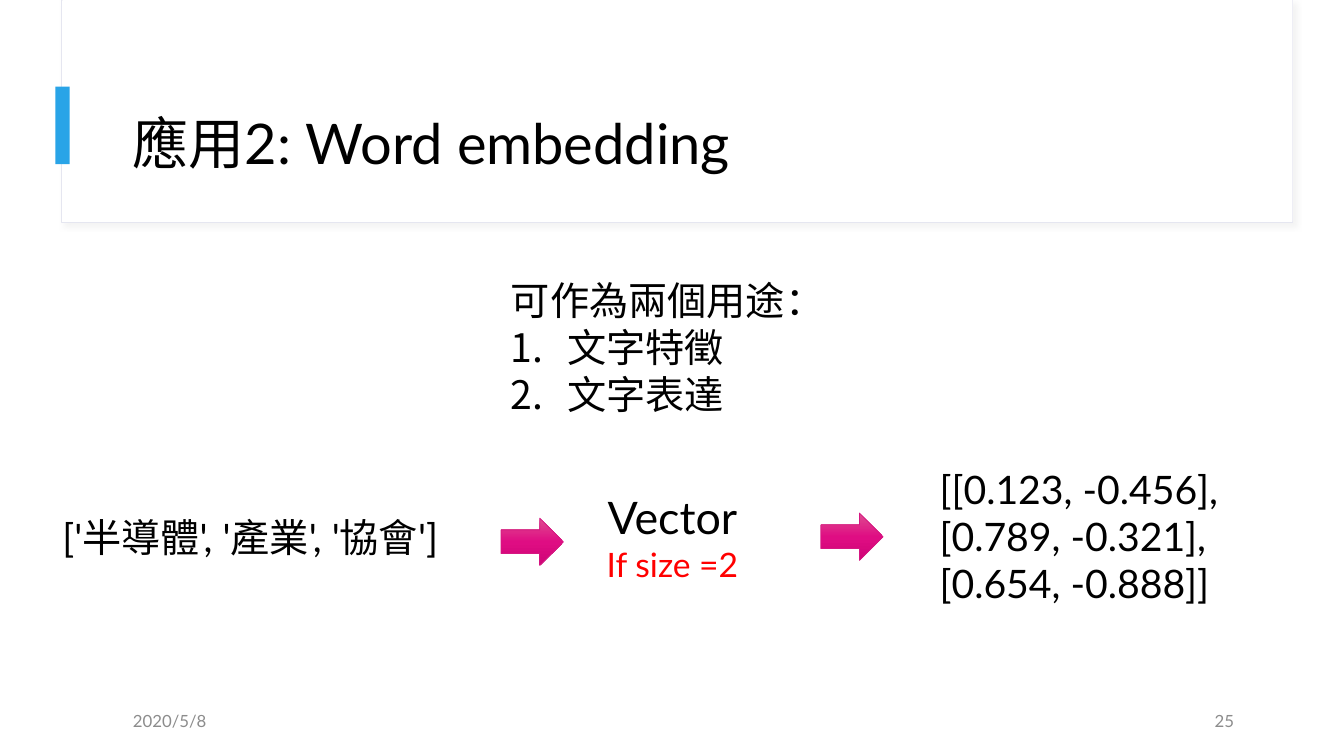
from lxml.etree import SubElement as Sub
from pptx import Presentation
from pptx.dml.color import RGBColor
from pptx.enum.shapes import MSO_SHAPE as Kind
from pptx.enum.text import MSO_ANCHOR as Anchor, MSO_AUTO_SIZE as Fit, PP_ALIGN as Align
from pptx.oxml.ns import qn
from pptx.util import Inches, Pt

WIDE, HIGH = 13.33, 7.5
BLACK, GREY, RED = "000000", "8C8C8C", "FF0000"
PINKS = (0, "DE4D90"), (50, "DF0D83"), (100, "CE0476")


def tint(color, code):
    """Set a colour format from a hex string."""
    color.rgb = RGBColor.from_string(code)


def part(box, left, top, wide, high):
    """Return the box at percent shares of an outer box."""
    x, y, w, h = box
    return x + w * left / 100, y + h * top / 100, w * wide / 100, h * high / 100


def block(slide, kind, box, fill=None, line=None, width=0.75):
    """Add a preset shape without shadow."""
    shape = slide.shapes.add_shape(kind, *map(Inches, box))
    shape.shadow.inherit = False
    if fill:
        shape.fill.solid()
        tint(shape.fill.fore_color, fill)
    if line:
        tint(shape.line.color, line)
        shape.line.width = Pt(width)
    else:
        shape.line.fill.background()
    return shape


def label(slide, box, lines, align=Align.LEFT, anchor=Anchor.TOP, fit=Fit.NONE, wrap=True):
    """Add a text box from lines of text, size and colour."""
    frame = slide.shapes.add_textbox(*map(Inches, box)).text_frame
    frame.word_wrap, frame.auto_size, frame.vertical_anchor = wrap, fit, anchor
    frame.text = "\n".join(text for text, size, code in lines)
    for para, (text, size, code) in zip(frame.paragraphs, lines):
        para.alignment = align
        font = para.runs[0].font
        font.name, font.size = "Lato", Pt(size)
        tint(font.color, code)
    return frame


def arrow(slide, box):
    """Add a pink arrow shaded from top to bottom."""
    shape = block(slide, Kind.RIGHT_ARROW, box, line="D51782", width=0.5)
    shape.fill.gradient()
    shape.fill.gradient_angle = 270
    stops = shape.fill._fill._gradFill.find(qn("a:gsLst"))
    stops[:] = []
    for pos, code in PINKS:
        stop = Sub(stops, qn("a:gs"), pos=str(pos * 1000))
        Sub(stop, qn("a:srgbClr"), val=code)


def shade(shape):
    """Give a shape a faint shadow to the lower right."""
    effects = shape._element.spPr.find(qn("a:effectLst"))
    outer = Sub(effects, qn("a:outerShdw"), blurRad=str(Pt(4)), dist=str(Pt(3)), dir="2700000")
    color = Sub(outer, qn("a:srgbClr"), val="D9D9D9")
    Sub(color, qn("a:alpha"), val="30000")


def header(slide, box, title):
    """Draw the title panel with its accent bar."""
    shade(block(slide, Kind.RECTANGLE, part(box, 4.58, 0, 91.6, 98.22), "FFFFFF", "E5E6F0"))
    block(slide, Kind.RECTANGLE, part(box, 4.65, 0, 91.52, 97.78), "FFFFFF")
    block(slide, Kind.RECTANGLE, part(box, 4.13, 38.22, 1.05, 34.22), "29A4E7")
    frame = label(slide, part(box, 9.15, 26.67, 83.42, 57.33), [(title, 40, BLACK)],
                  anchor=Anchor.MIDDLE)
    frame.paragraphs[0].line_spacing = 1.5


def uses(slide, box, head, items):
    """Write a heading above a numbered list."""
    lines = [(text, 28, BLACK) for text in (head, *items)]
    frame = label(slide, box, lines, fit=Fit.SHAPE_TO_FIT_TEXT, wrap=False)
    for para in frame.paragraphs[1:]:
        props = para._p.get_or_add_pPr()
        props.set("marL", str(Inches(0.56)))
        props.set("indent", str(-Inches(0.56)))
        Sub(props, qn("a:buFont"), typeface="+mj-lt")
        Sub(props, qn("a:buAutoNum"), type="arabicPeriod")


def flow(slide, box, words, model, rows):
    """Show words turning into vectors, joined by arrows."""
    grow = Fit.SHAPE_TO_FIT_TEXT
    label(slide, part(box, 3.9, 32.73, 37.21, 34.55), [(words, 28, BLACK)], Align.JUSTIFY, fit=grow)
    label(slide, part(box, 42.39, 18.79, 15.3, 63.03), model, Align.CENTER, fit=grow)
    label(slide, part(box, 69.17, 4.24, 22.51, 91.52), [(row, 28, BLACK) for row in rows],
          Align.JUSTIFY, fit=grow)
    for left, top in (37.28, 38.79), (61.07, 35.76):
        arrow(slide, part(box, left, top, 4.65, 28.48))


def footer(slide, box, date, page):
    """Write the date at the left and the page at the right."""
    for left, text, align in (0, date, Align.LEFT), (73.02, page, Align.RIGHT):
        label(slide, part(box, left, 0, 26.98, 100), [(text, 12, GREY)], align, Anchor.MIDDLE)


def main():
    """Build and save the slide."""
    deck = Presentation()
    deck.slide_width, deck.slide_height = Inches(WIDE), Inches(HIGH)
    slide = deck.slides.add_slide(deck.slide_layouts[6])
    page = 0, 0, WIDE, HIGH
    header(slide, part(page, 0, 0, 100, 30), "應用2: Word embedding")
    footer(slide, part(page, 9.15, 92.67, 83.42, 5.33), "2020/5/8", "25")
    uses(slide, part(page, 37.28, 35.87, 25.06, 20.13), "可作為兩個用途：", ["文字特徵", "文字表達"])
    flow(slide, part(page, 0, 60, 100, 22), "['半導體', '產業', '協會']",
         [("Vector", 32, BLACK), ("If size =2", 24, RED)],
         ["[[0.123, -0.456],", "[0.789, -0.321],", "[0.654, -0.888]]"])
    deck.save("out.pptx")


if __name__ == "__main__":
    main()
